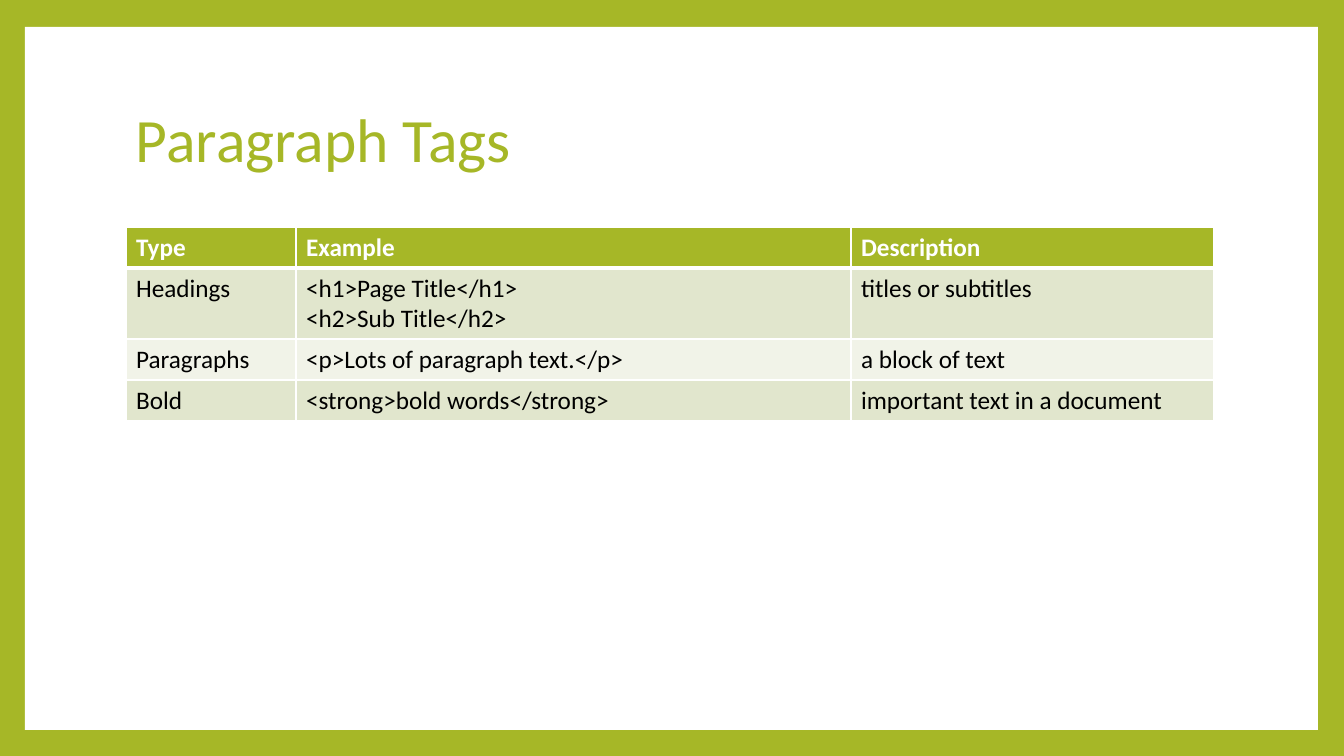
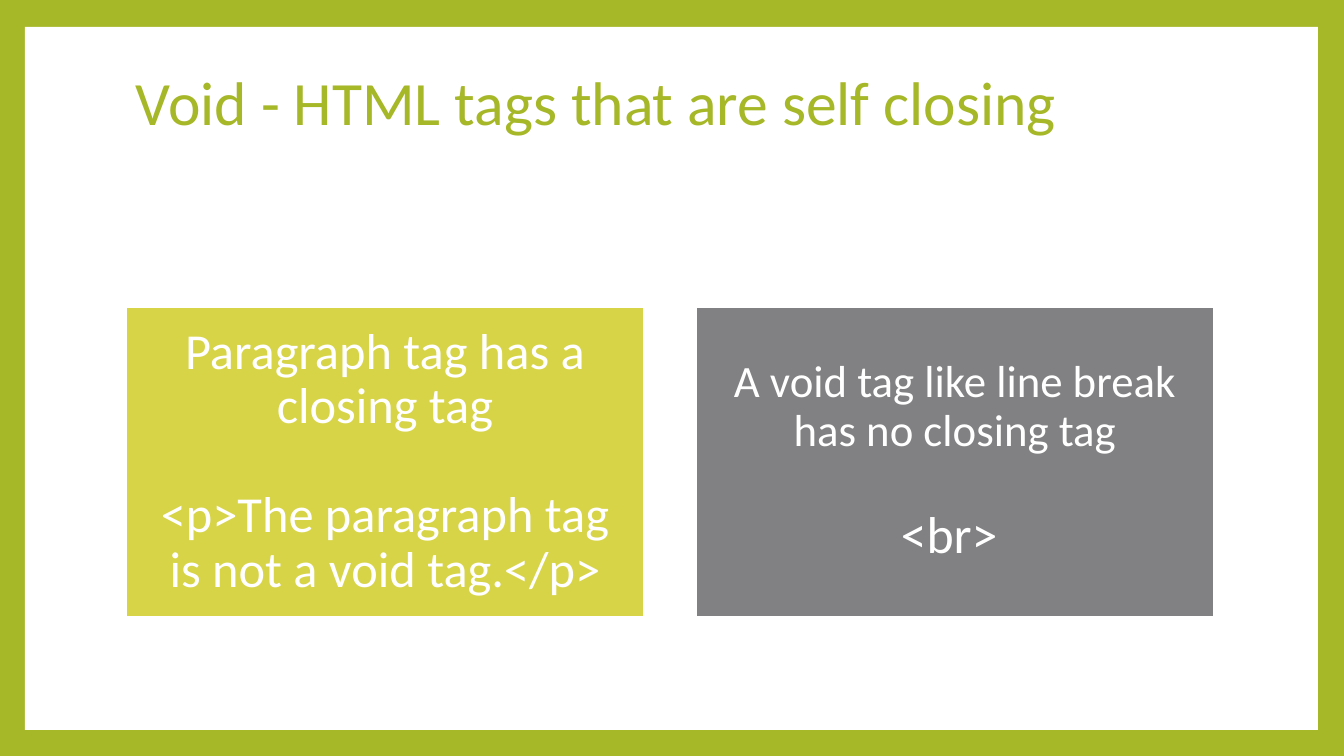
from dataclasses import dataclass

from lxml import etree
from pptx import Presentation
from pptx.dml.color import RGBColor
from pptx.enum.shapes import MSO_SHAPE
from pptx.enum.text import MSO_ANCHOR, PP_ALIGN
from pptx.oxml.ns import qn
from pptx.slide import Slide
from pptx.table import _Cell
from pptx.text.text import TextFrame, _Paragraph
from pptx.util import Emu, Pt

RECTANGLE = MSO_SHAPE.RECTANGLE
MIDDLE = MSO_ANCHOR.MIDDLE
CENTER = PP_ALIGN.CENTER

GREEN = RGBColor(0xA6, 0xB7, 0x27)
YELLOW = RGBColor(0xD7, 0xD4, 0x47)
GRAY = RGBColor(0x81, 0x81, 0x83)
DARK_BAND = RGBColor(0xE1, 0xE6, 0xCD)
LIGHT_BAND = RGBColor(0xF1, 0xF3, 0xE8)
WHITE = RGBColor(0xFF, 0xFF, 0xFF)
BLACK = RGBColor(0x00, 0x00, 0x00)

FONT = "Calibri"
LINE_SPACING = 0.9
LEFT, CONTENT_WIDTH = 126, 1089
TITLE_HEIGHT = 149


def px(pixels: int) -> Emu:
    return Emu(round(pixels * 914400 / 100.8))


@dataclass(frozen=True)
class Line:
    text: str
    size: int
    space_before: float = 0


@dataclass(frozen=True)
class Card:
    color: RGBColor
    inset: int
    lines: tuple[Line, ...]


# Shared parts
def add_text(para: _Paragraph, text: str, size: int, color: RGBColor,
             bold: bool = False) -> None:
    span = para.add_run()
    span.text = text
    span.font.name = FONT
    span.font.size = Pt(size)
    span.font.bold = bold
    span.font.color.rgb = color


def next_paragraph(frame: TextFrame, index: int) -> _Paragraph:
    return frame.add_paragraph() if index else frame.paragraphs[0]


def add_page(deck: Presentation, title: str, title_top: int) -> Slide:
    page = deck.slides.add_slide(deck.slide_layouts[6])
    panel = page.shapes.add_shape(RECTANGLE, px(25), px(27), px(1293), px(703))
    panel.shadow.inherit = False
    panel.fill.solid()
    panel.fill.fore_color.rgb = WHITE
    panel.line.fill.background()

    box = page.shapes.add_textbox(px(LEFT), px(title_top),
                                  px(CONTENT_WIDTH), px(TITLE_HEIGHT))
    frame = box.text_frame
    frame.word_wrap = True
    frame.vertical_anchor = MIDDLE
    para = frame.paragraphs[0]
    para.line_spacing = LINE_SPACING
    add_text(para, title, 44, GREEN)
    return page


# Table
def add_borders(cell: _Cell, top: int, bottom: int) -> None:
    properties = cell._tc.get_or_add_tcPr()
    for side, points in (("L", 1), ("R", 1), ("T", top), ("B", bottom)):
        border = etree.SubElement(properties, qn(f"a:ln{side}"),
                                  w=str(Pt(points)))
        fill = etree.SubElement(border, qn("a:solidFill"))
        etree.SubElement(fill, qn("a:srgbClr"), val=str(WHITE))


def add_tag_table(page: Slide, rows: list[tuple[str, str, str]],
                  widths: list[int], heights: list[int]) -> None:
    table = page.shapes.add_table(len(rows), len(widths), px(LEFT), px(227),
                                  px(sum(widths)), px(sum(heights))).table
    table.first_row = False
    table.horz_banding = False
    for column, width in zip(table.columns, widths):
        column.width = px(width)
    for row_index, (texts, height) in enumerate(zip(rows, heights)):
        table.rows[row_index].height = px(height)
        header = row_index == 0
        band = DARK_BAND if row_index % 2 else LIGHT_BAND
        for column_index, text in enumerate(texts):
            cell = table.cell(row_index, column_index)
            add_borders(cell, top=3 if row_index == 1 else 1,
                        bottom=3 if header else 1)
            cell.fill.solid()
            cell.fill.fore_color.rgb = GREEN if header else band
            for index, line in enumerate(text.split("\n")):
                add_text(next_paragraph(cell.text_frame, index), line, 18,
                         WHITE if header else BLACK, bold=header)


# Cards
def add_card(page: Slide, card: Card, left: int) -> None:
    box = page.shapes.add_shape(RECTANGLE, px(left), px(307), px(518), px(310))
    box.shadow.inherit = False
    box.fill.solid()
    box.fill.fore_color.rgb = card.color
    box.line.color.rgb = WHITE
    box.line.width = Pt(1.5)
    frame = box.text_frame
    frame.word_wrap = True
    frame.vertical_anchor = MIDDLE
    frame.margin_left = frame.margin_right = px(card.inset)
    frame.margin_top = frame.margin_bottom = px(card.inset)
    for index, line in enumerate(card.lines):
        para = next_paragraph(frame, index)
        para.alignment = CENTER
        para.line_spacing = LINE_SPACING
        para.space_before = Pt(line.space_before)
        add_text(para, line.text, line.size, WHITE)


deck = Presentation()
deck.slide_width, deck.slide_height = px(1344), px(756)
background = deck.slide_master.background.fill
background.solid()
background.fore_color.rgb = GREEN

# Slide 1: paragraph tags
TAG_ROWS = [
    ("Type", "Example", "Description"),
    ("Headings", "<h1>Page Title</h1>\n<h2>Sub Title</h2>",
     "titles or subtitles"),
    ("Paragraphs", "<p>Lots of paragraph text.</p>", "a block of text"),
    ("Bold", "<strong>bold words</strong>", "important text in a document"),
]
tags_page = add_page(deck, "Paragraph Tags", 68)
add_tag_table(tags_page, TAG_ROWS, [170, 555, 363], [41, 71, 41, 41])

# Slide 2: void tags
CARDS = [
    Card(YELLOW, 15, (
        Line("Paragraph tag has a closing tag", 36),
        Line("<p>The paragraph tag is not a void tag.</p>", 36, 39),
    )),
    Card(GRAY, 13, (
        Line("A void tag like line break has no closing tag", 32),
        Line("<br> ", 37, 38),
    )),
]
void_page = add_page(deck, "Void - HTML tags that are self closing", 31)
for position, card in enumerate(CARDS):
    add_card(void_page, card, LEFT + position * 570)

deck.save("out.pptx")
